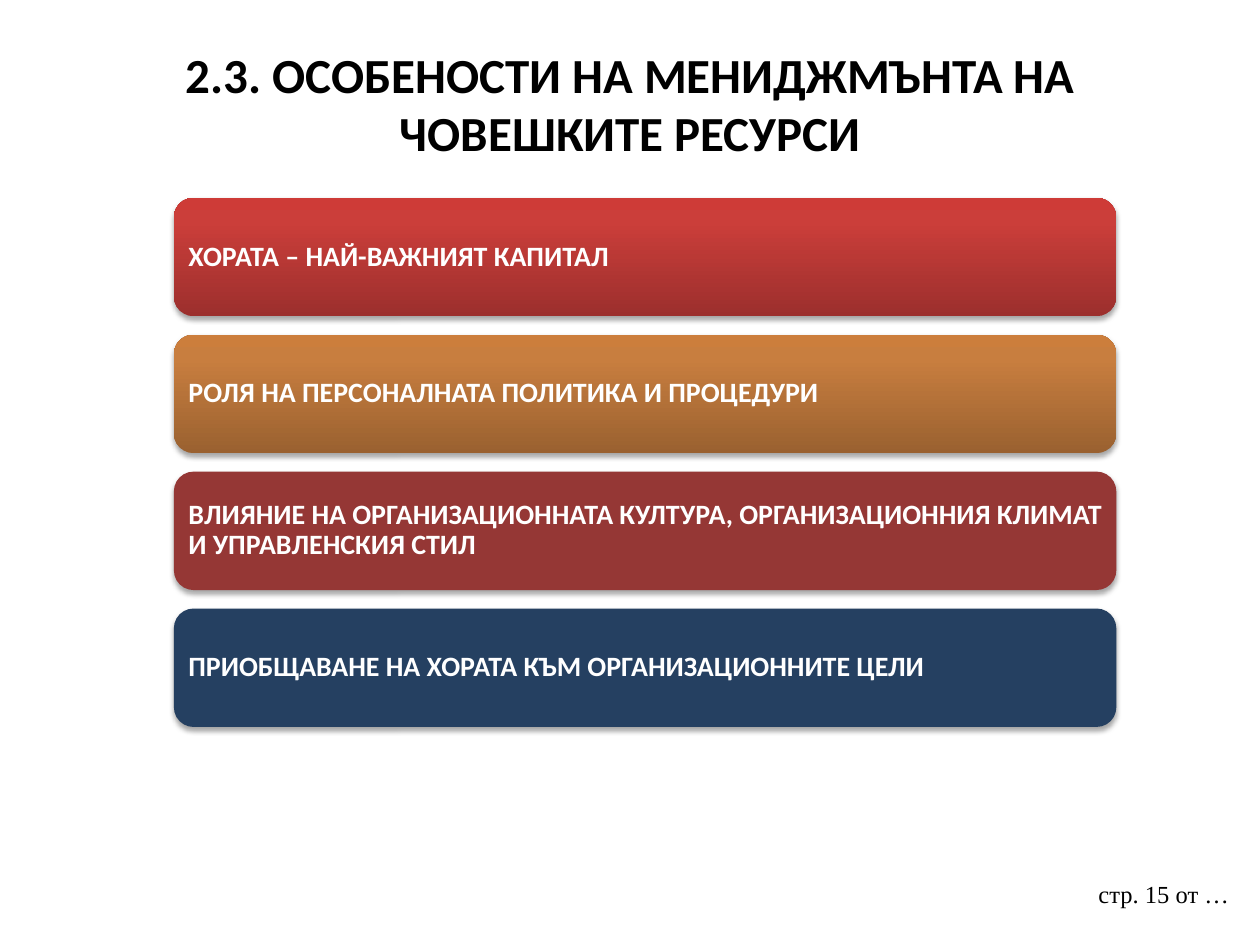
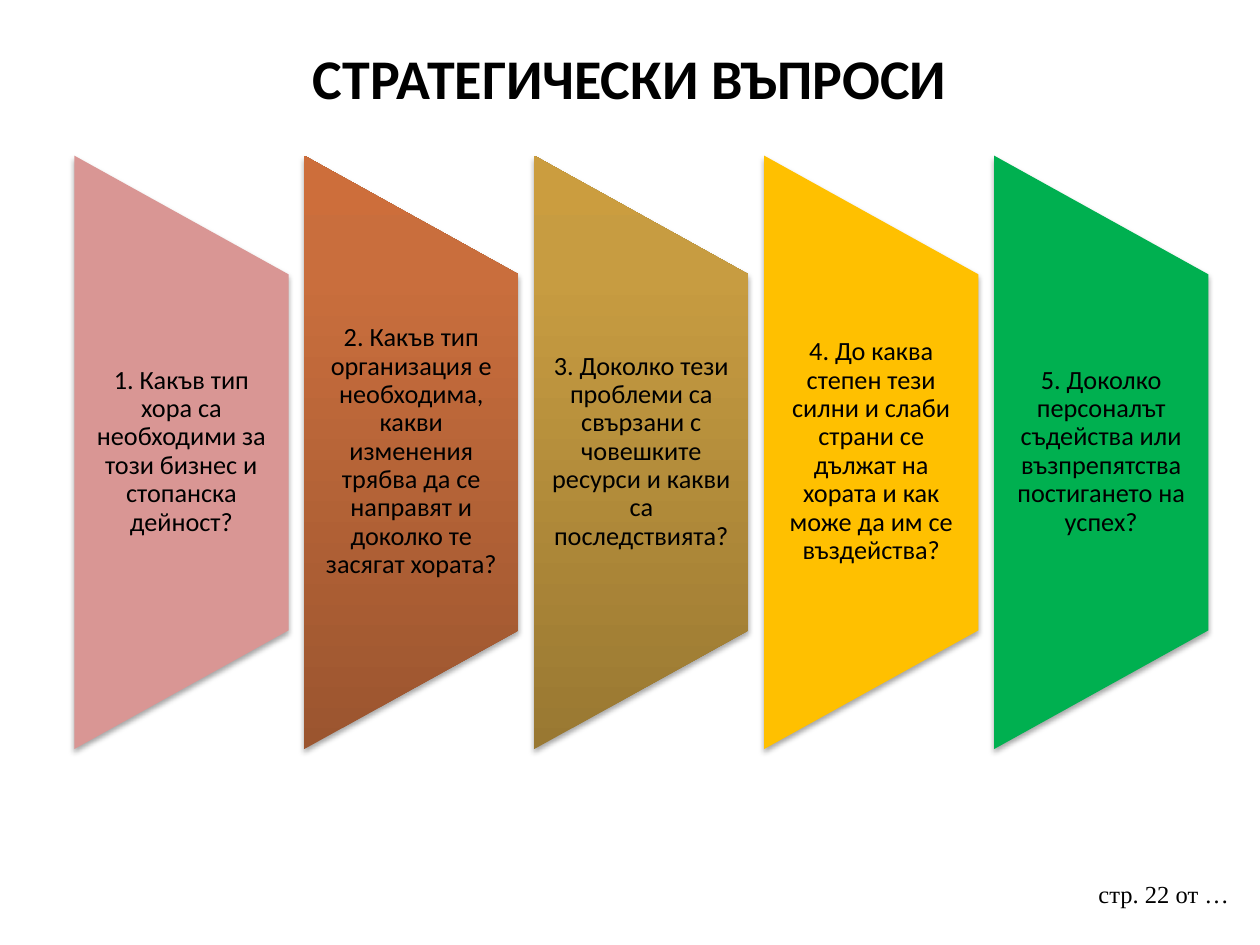
"""Build two slides on human resource management: four bars and five panels."""
from lxml import etree
from pptx import Presentation
from pptx.dml.color import RGBColor
from pptx.enum import shapes, text
from pptx.oxml import ns
from pptx.util import Inches, Pt

HUES = {
    "black": "000000", "white": "FFFFFF",
    "wine": "953735", "navy": "254061", "pink": "D99694",
    "gold": "FFC000", "green": "00B050",
}
FADES = {
    "red": ("9C2F2D", "CB3E3A", "CE3B37"),
    "amber": ("9A6130", "C87E3F", "CC7E3C"),
    "rust": ("9B552F", "C96E3D", "CD6E3B"),
    "ochre": ("997832", "C79C41", "CB9D3F"),
}
STOPS = (0, 80, 100)

TRAITS = {
    "title": "2.3. ОСОБЕНОСТИ НА МЕНИДЖМЪНТА НА ЧОВЕШКИТЕ РЕСУРСИ",
    "size": 28, "high": 1.25, "page": "стр. 15 от …",
    "items": [
        ("red", "ХОРАТА – НАЙ-ВАЖНИЯТ КАПИТАЛ"),
        ("amber", "РОЛЯ НА ПЕРСОНАЛНАТА ПОЛИТИКА И ПРОЦЕДУРИ"),
        ("wine", "ВЛИЯНИЕ НА ОРГАНИЗАЦИОННАТА КУЛТУРА, ОРГАНИЗАЦИОННИЯ КЛИМАТ "
                 "И УПРАВЛЕНСКИЯ СТИЛ"),
        ("navy", "ПРИОБЩАВАНЕ НА ХОРАТА КЪМ ОРГАНИЗАЦИОННИТЕ ЦЕЛИ"),
    ],
}
ISSUES = {
    "title": "СТРАТЕГИЧЕСКИ ВЪПРОСИ",
    "size": 32, "high": 0.77, "page": "стр. 22 от …",
    "items": [
        ("pink", "1. Какъв тип хора са необходими за този бизнес и стопанска "
                 "дейност?"),
        ("rust", "2. Какъв тип организация е необходима, какви изменения трябва "
                 "да се направят и доколко те засягат хората?"),
        ("ochre", "3. Доколко тези проблеми са свързани с човешките ресурси и "
                  "какви са последствията?"),
        ("gold", "4. До каква степен тези силни и слаби страни се дължат на "
                 "хората и как може да им се въздейства?"),
        ("green", "5. Доколко персоналът съдейства или възпрепятства "
                  "постигането на успех?"),
    ],
}


def spread(first, last, count):
    return [first + (last - first) * i / (count - 1) for i in range(count)]


def tint(parent, hue):
    node = etree.SubElement(parent, ns.qn("a:srgbClr"), val=hue)
    return node


def write(shape, words, size, hue="black", bold=False, font="Calibri",
          align="LEFT", anchor="TOP", pads=(0.1, 0.05, 0.1, 0.05), line=None):
    frame = shape.text_frame
    frame.text = words
    frame.word_wrap = True
    frame.vertical_anchor = getattr(text.MSO_ANCHOR, anchor)
    (frame.margin_left, frame.margin_top,
     frame.margin_right, frame.margin_bottom) = map(Inches, pads)
    para = frame.paragraphs[0]
    para.alignment = getattr(text.PP_ALIGN, align)
    para.line_spacing = line
    for run in para.runs:
        run.font.name = font
        run.font.size = Pt(size)
        run.font.bold = bold
        run.font.color.rgb = RGBColor.from_string(HUES[hue])


def label(slide, box, words, size, **style):
    write(slide.shapes.add_textbox(*map(Inches, box)), words, size, **style)


def block(slide, kind, box, hue):
    shape = slide.shapes.add_shape(kind, *map(Inches, box))
    shape.line.fill.background()
    props = shape.element.spPr
    if hue in FADES:
        shape.fill.gradient()
        grad = props.find(ns.qn("a:gradFill"))
        grad.set("rotWithShape", "0")
        grad.find(ns.qn("a:lin")).set("ang", str(270 * 60000))
        stops = grad.find(ns.qn("a:gsLst"))
        stops.clear()
        for pos, shade in zip(STOPS, FADES[hue]):
            tint(etree.SubElement(stops, ns.qn("a:gs"), pos=str(pos * 1000)), shade)
    else:
        shape.fill.solid()
        shape.fill.fore_color.rgb = RGBColor.from_string(HUES[hue])
    shape.shadow.inherit = False
    glow = etree.SubElement(
        props.find(ns.qn("a:effectLst")), ns.qn("a:outerShdw"),
        blurRad=str(Pt(3.1)), dist=str(Pt(1.8)), dir=str(90 * 60000),
        rotWithShape="0")
    etree.SubElement(tint(glow, HUES["black"]), ns.qn("a:alpha"), val="35000")
    return shape


def start(deck, data):
    slide = deck.slides.add_slide(deck.slide_layouts[6])
    label(slide, (8.62, 6.93, 1.3, 0.52), data["page"], 14, font="Times New Roman")
    label(slide, (0.5, 0.3, 9, data["high"]), data["title"], data["size"],
          bold=True, align="CENTER")
    return slide


def bars(deck, data):
    slide = start(deck, data)
    items = data["items"]
    for top, (hue, words) in zip(spread(1.57, 4.83, len(items)), items):
        bar = block(slide, shapes.MSO_SHAPE.ROUNDED_RECTANGLE,
                    (1.38, top, 7.48, 0.94), hue)
        write(bar, words, 16, hue="white", bold=True, anchor="MIDDLE",
              pads=(0.07, 0.07, 0.06, 0.07), line=0.9)


def panels(deck, data):
    slide = start(deck, data)
    items = data["items"]
    wide, tall, mid = 1.7, 4.71, 3.59
    for left, (hue, words) in zip(spread(0.59, 7.89, len(items)), items):
        box = (left + (wide - tall) / 2, mid - wide / 2, tall, wide)
        panel = block(slide, shapes.MSO_SHAPE.FLOWCHART_MANUAL_OPERATION, box, hue)
        panel.rotation = 270
        label(slide, (left, 2.17, wide, 2.83), words, 15, align="CENTER",
              anchor="MIDDLE", pads=(0.1, 0, 0.1, 0), line=0.9)


def main():
    deck = Presentation()
    deck.slide_width, deck.slide_height = Inches(10), Inches(7.5)
    bars(deck, TRAITS)
    panels(deck, ISSUES)
    deck.save("out.pptx")


if __name__ == "__main__":
    main()
